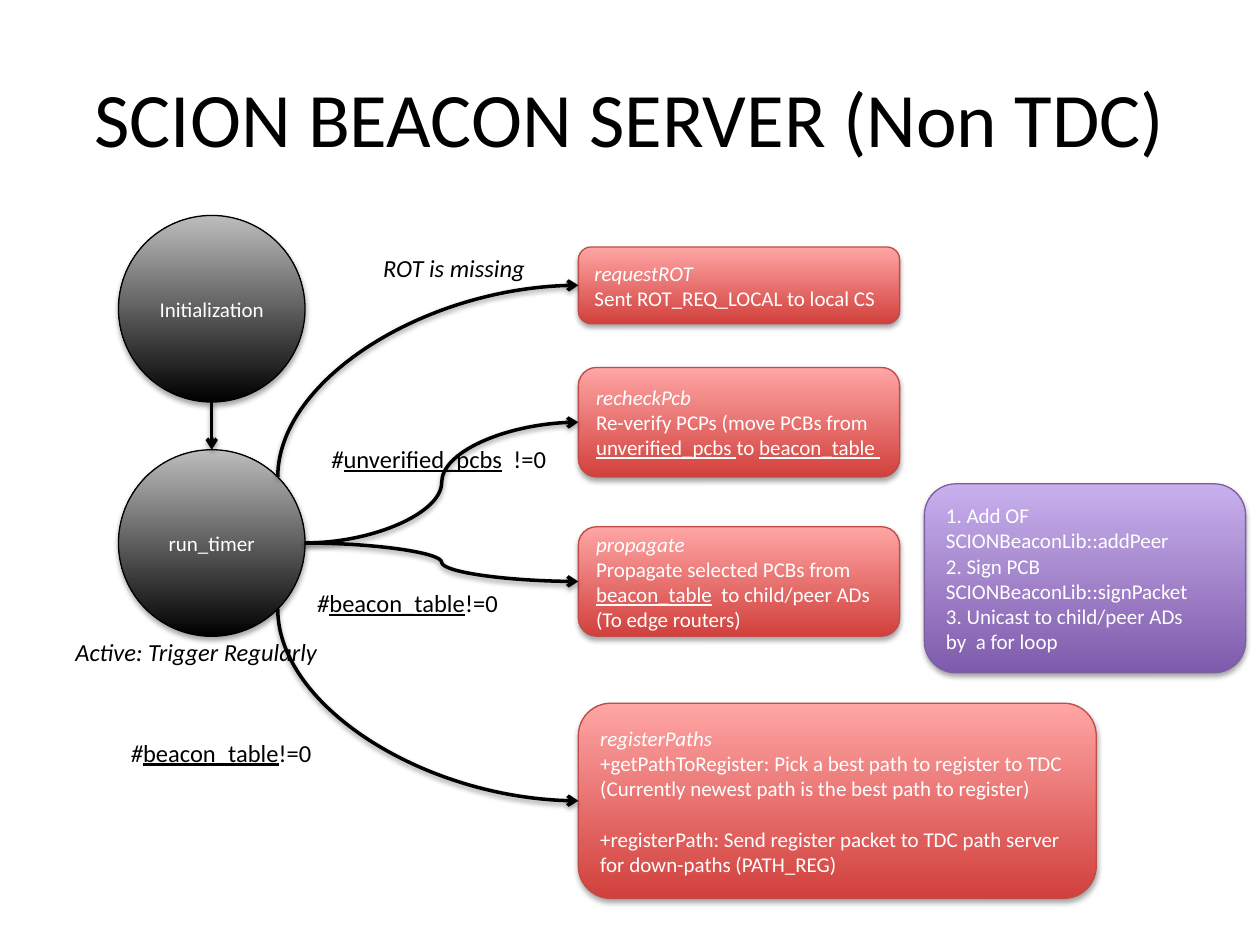
from lxml import etree
from pptx import Presentation
from pptx.dml.color import RGBColor
from pptx.enum import shapes, text
from pptx.oxml.ns import qn
from pptx.util import Pt

FONT = "Calibri"
BLACK, WHITE = "000000", "FFFFFF"
GRAY = ("000000", "BDBDBD", "000000")
RED = ("D1403C", "FFA6A5", "BF4C48")
PURPLE = ("7F5BAB", "C8B0ED", "7D60A0")

TITLE = "SCION BEACON SERVER (Non TDC)"
STATE_X, STATE_SIZE = 67.7, 106.6
STATES = [("Initialization", 123.1), ("run_timer", 257)]
ACTION_X = 330.5

BOXES = [
    (ACTION_X, 141.1, 183.6, 43.9, RED, [
        [("requestROT", "i")],
        [("Sent ROT_REQ_LOCAL to local CS", "")]]),
    (ACTION_X, 210, 183.6, 62.6, RED, [
        [("recheckPcb\n", "i"), ("Re-verify PCPs (move PCBs from ", ""),
         ("unverified_pcbs ", "u"), ("to ", ""), ("beacon_table ", "u")]]),
    (ACTION_X, 301, 183.6, 62.6, RED, [
        [("propagate\n", "i"), ("Propagate selected PCBs from ", ""),
         ("beacon_table", "u"), ("  to child/peer ADs (To edge routers)", "")]]),
    (ACTION_X, 401.8, 296, 111.6, RED, [
        [("registerPaths", "i")],
        [("+getPathToRegister: Pick a best path to register to TDC", "")],
        [("(Currently newest path is the best path to register)", "")],
        [("+registerPath: Send register packet to TDC path server "
          "for down-paths (PATH_REG)", "")]]),
    (528.2, 276.5, 183.6, 108, PURPLE, [
        [("1. Add OF", "")],
        [("SCIONBeaconLib::addPeer", "")],
        [("2. Sign PCB\nSCIONBeaconLib::signPacket", "")],
        [("3. Unicast to child/peer ADs", "")],
        [("by  a for loop", "")]]),
]
GAP_BEFORE = {"+registerPath: ": 14.5}

TABLE_READY = [("#", "i"), ("beacon_table", "u"), ("!=0", "")]
LABELS = [
    (36, 360.2, 175.7, [("Active: Trigger Regularly ", "i")]),
    (211.8, 141.1, 105.1, [("ROT is missing", "i")]),
    (182.3, 250, 148.2, [("#", "i"), ("unverified_pcbs", "u"), ("  !=0", "")]),
    (174.2, 332.3, 148.2, TABLE_READY),
    (67.7, 417.9, 148.2, TABLE_READY),
]

prs = Presentation()
prs.slide_width, prs.slide_height = Pt(720), Pt(540)
s = prs.slides.add_slide(prs.slide_layouts[6])


def rgb(value):
    return RGBColor.from_string(value)


def write(sp, paragraphs, size=12, color=WHITE, align=text.PP_ALIGN.LEFT,
          anchor=text.MSO_ANCHOR.MIDDLE):
    tf = sp.text_frame
    tf.word_wrap = True
    tf.vertical_anchor = anchor
    for i, runs in enumerate(paragraphs):
        p = tf.paragraphs[0] if i == 0 else tf.add_paragraph()
        p.alignment = align
        for start, gap in GAP_BEFORE.items():
            if runs[0][0].startswith(start):
                p.space_before = Pt(gap)
        for content, style in runs:
            for n, line in enumerate(content.split("\n")):
                if n:
                    p.add_line_break()
                if line:
                    r = p.add_run()
                    r.text = line
                    f = r.font
                    f.name, f.size = FONT, Pt(size)
                    f.italic, f.underline = "i" in style, "u" in style
                    f.color.rgb = rgb(color)


def add_shadow(sp, alpha, dist):
    effects = etree.SubElement(sp._element.spPr, qn("a:effectLst"))
    shadow = etree.SubElement(effects, qn("a:outerShdw"), blurRad=str(Pt(3.1)),
                              dist=str(Pt(dist)), dir="5400000", rotWithShape="0")
    c = etree.SubElement(shadow, qn("a:srgbClr"), val=BLACK)
    etree.SubElement(c, qn("a:alpha"), val=str(alpha * 1000))


def add_node(kind, x, y, w, h, colors, paragraphs, **fmt):
    sp = s.shapes.add_shape(kind, Pt(x), Pt(y), Pt(w), Pt(h))
    bottom, top, edge = colors
    sp.fill.gradient()
    sp.fill.gradient_angle = 90
    for stop, color in zip(sp.fill.gradient_stops, (bottom, top)):
        stop.color.rgb = rgb(color)
    sp.line.color.rgb = rgb(edge)
    sp.line.width = Pt(0.75)
    add_shadow(sp, 35, 1.8)
    write(sp, paragraphs, **fmt)


def add_label(x, y, w, h, paragraphs, **fmt):
    write(s.shapes.add_textbox(Pt(x), Pt(y), Pt(w), Pt(h)), paragraphs,
          color=BLACK, **fmt)


def add_arrow(kind, x1, y1, x2, y2):
    cx = s.shapes.add_connector(kind, Pt(x1), Pt(y1), Pt(x2), Pt(y2))
    cx.line.color.rgb = rgb(BLACK)
    cx.line.width = Pt(2)
    etree.SubElement(cx.line._get_or_add_ln(), qn("a:tailEnd"), type="arrow")
    add_shadow(cx, 38, 1.6)
    return cx


def add_quarter_arrow(x1, y1, x2, y2):
    cx = add_arrow(shapes.MSO_CONNECTOR.CURVE, x1, y1, x2, y2)
    w, h = abs(y2 - y1), x2 - x1
    cx.left, cx.top = Pt((x1 + x2 - w) / 2), Pt((y1 + y2 - h) / 2)
    cx.width, cx.height = Pt(w), Pt(h)
    pr = cx._element.spPr
    pr.find(qn("a:prstGeom")).set("prst", "curvedConnector2")
    xfrm = pr.find(qn("a:xfrm"))
    up = y2 < y1
    xfrm.set("rot", str((90 if up else 270) * 60000))
    xfrm.set("flipH", "1")
    xfrm.set("flipV", "1" if up else "0")


add_label(36, 21.6, 648, 90, [[(TITLE, "")]], size=44,
          align=text.PP_ALIGN.CENTER)

for name, y in STATES:
    add_node(shapes.MSO_SHAPE.OVAL, STATE_X, y, STATE_SIZE, STATE_SIZE, GRAY,
             [[(name, "")]], align=text.PP_ALIGN.CENTER)
for x, y, w, h, colors, paragraphs in BOXES:
    add_node(shapes.MSO_SHAPE.ROUNDED_RECTANGLE, x, y, w, h, colors, paragraphs)

radius = STATE_SIZE / 2
center_x = STATE_X + radius
init_y, timer_y = [y + radius for _, y in STATES]
diagonal = radius * 0.5 ** 0.5
request_y, recheck_y, propagate_y, register_y = [
    y + h / 2 for _, y, _, h, _, _ in BOXES[:4]]

add_arrow(shapes.MSO_CONNECTOR.STRAIGHT, center_x, init_y + radius,
          center_x, timer_y - radius)
for y in (recheck_y, propagate_y):
    add_arrow(shapes.MSO_CONNECTOR.CURVE, center_x + radius, timer_y, ACTION_X, y)
for side, y in ((-1, request_y), (1, register_y)):
    add_quarter_arrow(center_x + diagonal, timer_y + side * diagonal, ACTION_X, y)

for x, y, w, runs in LABELS:
    add_label(x, y, w, 24.2, [runs], size=14, anchor=text.MSO_ANCHOR.TOP)

prs.save("out.pptx")
